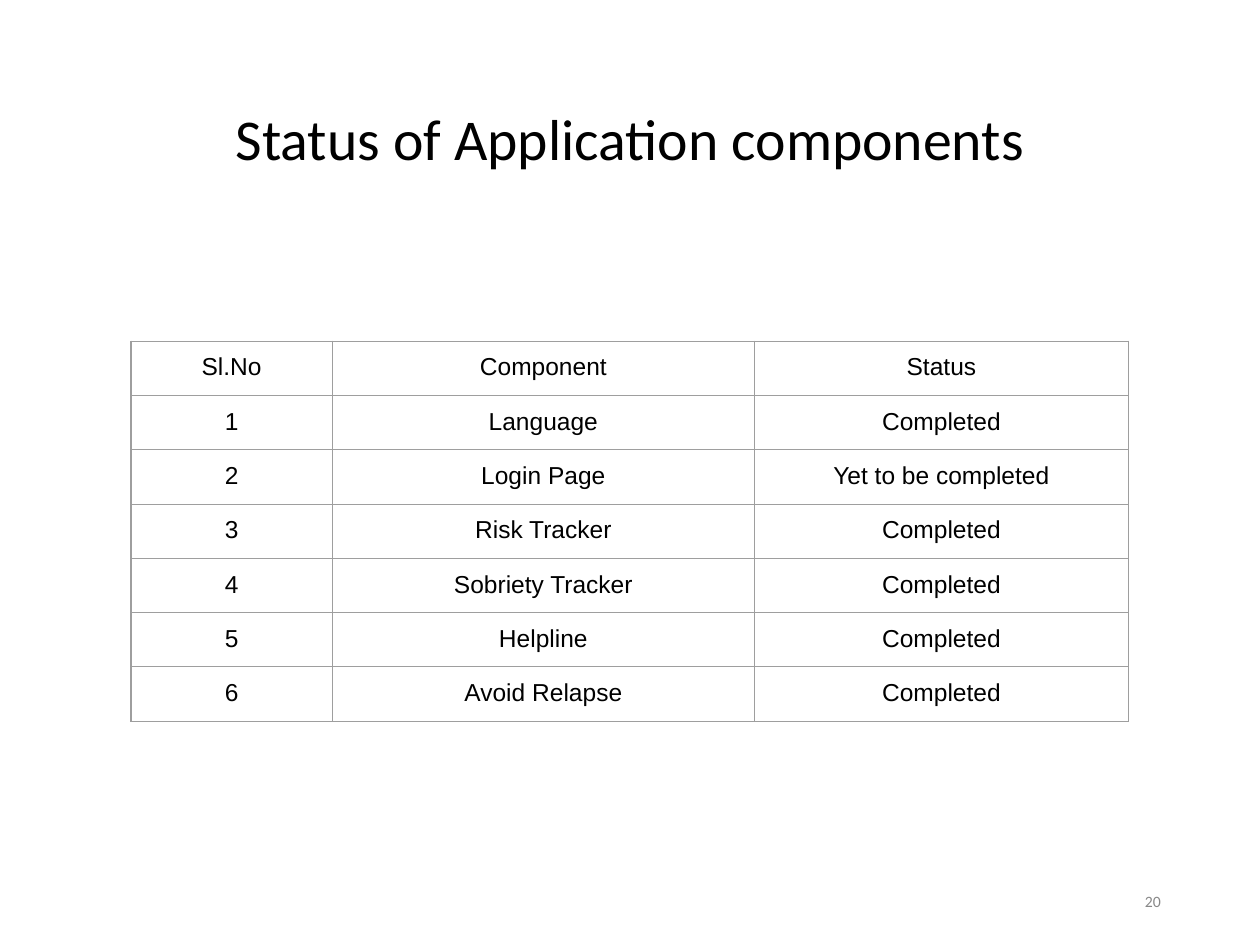
"""Build the slide that lists the status of each application component."""
from dataclasses import dataclass

from lxml.etree import SubElement as Sub
from pptx import Presentation as Deck
from pptx.dml.color import RGBColor as Rgb
from pptx.enum.text import MSO_ANCHOR as Anchor, PP_ALIGN as Align
from pptx.oxml.ns import qn
from pptx.util import Cm, Pt

TITLE = "Status of Application components"
PAGE = "20"
HEAD = ("Sl.No", "Component", "Status")
PARTS = [
    ("Language", "Completed"),
    ("Login Page", "Yet to be completed"),
    ("Risk Tracker", "Completed"),
    ("Sobriety Tracker", "Completed"),
    ("Helpline", "Completed"),
    ("Avoid Relapse", "Completed"),
]
WIDTHS = (4.06, 8.51, 7.54)
LEFT, TOP, ROW, PAD = 2.64, 6.88, 1.06, 0.25


@dataclass(frozen=True)
class Theme:
    """Hold the fonts, type sizes and colours."""
    head: str = "Calibri"
    body: str = "Arial"
    big: float = 33
    mid: float = 14
    small: float = 9
    ink: str = "000000"
    gray: str = "888888"
    rule: str = "9E9E9E"
    line: float = 0.75


LOOK = Theme()


def style(para, face, size, color, align):
    """Format a paragraph and its runs."""
    para.alignment = align
    for run in para.runs:
        font = run.font
        font.name, font.size = face, Pt(size)
        font.color.rgb = Rgb.from_string(color)


def label(slide, text, box, size, color, align):
    """Add a text box centred on its height and return its paragraph."""
    frame = slide.shapes.add_textbox(*map(Cm, box)).text_frame
    frame.word_wrap = True
    frame.vertical_anchor = Anchor.MIDDLE
    frame.text = text
    para = frame.paragraphs[0]
    style(para, LOOK.head, size, color, align)
    return para


def border(cell):
    """Rule all four sides of a cell."""
    props = cell._tc.get_or_add_tcPr()
    for side in ("lnL", "lnR", "lnT", "lnB"):
        line = Sub(props, qn(f"a:{side}"), w=str(Pt(LOOK.line)))
        fill = Sub(line, qn("a:solidFill"))
        Sub(fill, qn("a:srgbClr"), val=LOOK.rule)


def grid(slide, rows):
    """Add the status table."""
    size = (LEFT, TOP, sum(WIDTHS), ROW * len(rows))
    table = slide.shapes.add_table(len(rows), len(HEAD), *map(Cm, size)).table
    table.first_row = table.horz_banding = False
    for col, width in zip(table.columns, WIDTHS):
        col.width = Cm(width)
    for line, row in zip(table.rows, rows):
        line.height = Cm(ROW)
        for cell, text in zip(line.cells, row):
            cell.text = text
            cell.margin_left = cell.margin_right = Cm(PAD)
            cell.margin_top = cell.margin_bottom = Cm(PAD)
            border(cell)
            cell.fill.background()
            para = cell.text_frame.paragraphs[0]
            style(para, LOOK.body, LOOK.mid, LOOK.ink, Align.CENTER)


def main():
    """Make the deck and save it."""
    deck = Deck()
    deck.slide_width, deck.slide_height = Cm(25.4), Cm(19.05)
    slide = deck.slides.add_slide(deck.slide_layouts[6])
    title = label(slide, TITLE, (1.75, 1.02, 21.9, 3.68),
                  LOOK.big, LOOK.ink, Align.CENTER)
    title.line_spacing = 0.9
    label(slide, PAGE, (17.93, 17.65, 5.72, 1.02),
          LOOK.small, LOOK.gray, Align.RIGHT)
    rows = [(str(num), *part) for num, part in enumerate(PARTS, 1)]
    grid(slide, [HEAD, *rows])
    deck.save("out.pptx")


if __name__ == "__main__":
    main()
